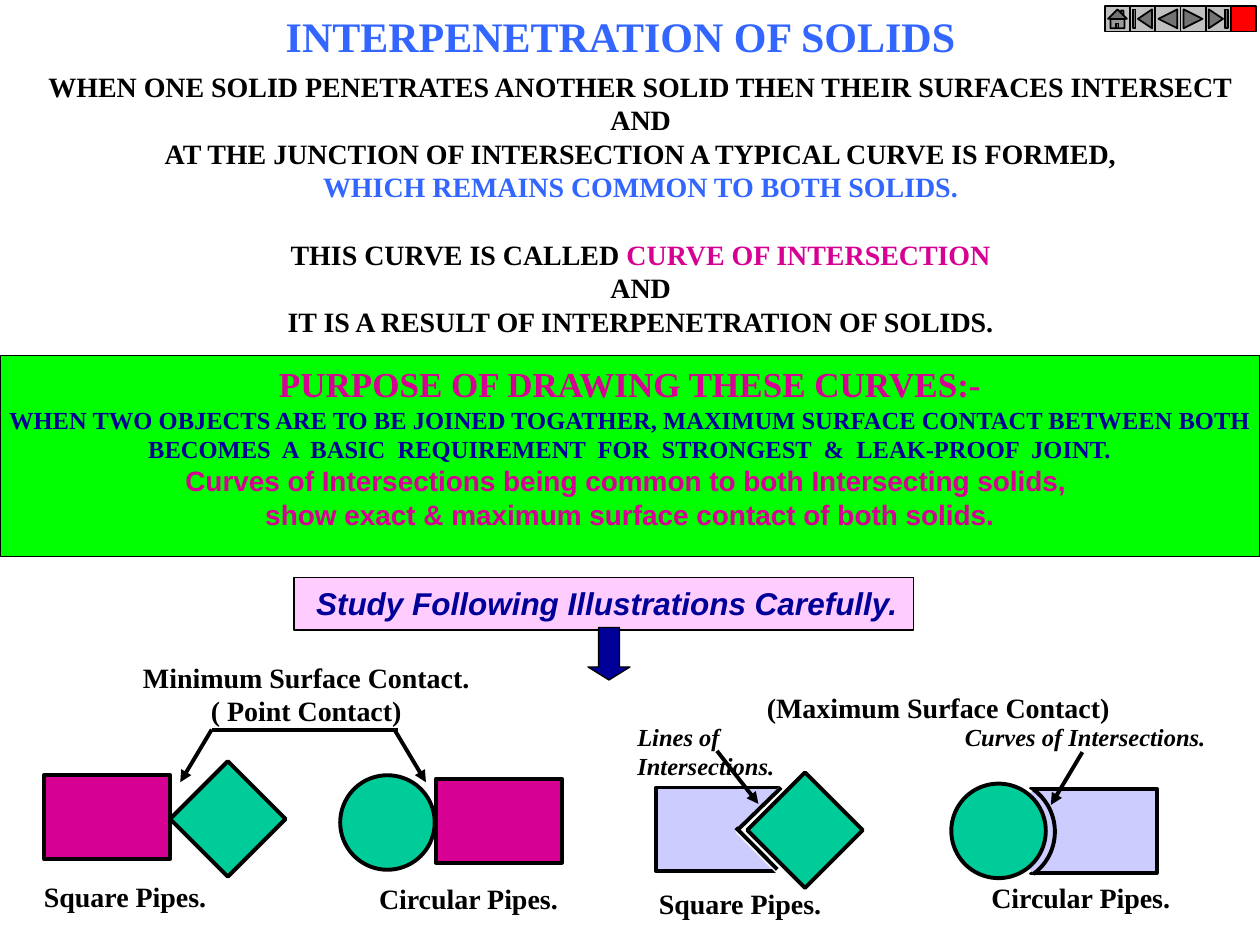
import dataclasses
import typing

import lxml.etree
import pptx
import pptx.dml.color
import pptx.enum.shapes
import pptx.enum.text
import pptx.oxml.ns
import pptx.util

Pt = pptx.util.Pt
Color = pptx.dml.color.RGBColor
Kind = pptx.enum.shapes.MSO_SHAPE
Align = pptx.enum.text.PP_ALIGN

BLACK = Color(0x00, 0x00, 0x00)
WHITE = Color(0xFF, 0xFF, 0xFF)
BLUE = Color(0x33, 0x66, 0xFF)
NAVY = Color(0x00, 0x00, 0x99)
ROSE = Color(0xD6, 0x00, 0x93)
PINK = Color(0xFF, 0xCC, 0xFF)
LIME = Color(0x00, 0xFF, 0x00)
TEAL = Color(0x00, 0xCC, 0x99)
LILAC = Color(0xCC, 0xCC, 0xFF)
GREY = Color(0xC0, 0xC0, 0xC0)
RED = Color(0xFF, 0x00, 0x00)
SERIF, SANS = "Times New Roman", "Arial"
THICK = 2.25


@dataclasses.dataclass
class Part:
    kind: typing.Any
    box: tuple
    fill: typing.Any
    line: Color = BLACK
    width: float = THICK
    adjust: tuple = ()


@dataclasses.dataclass
class Wire:
    start: tuple
    end: tuple
    arrow: bool = True


@dataclasses.dataclass
class Line:
    runs: list  # (text, colour) pairs
    size: float = 16
    font: str = SERIF
    italic: bool = False
    before: float = 0


@dataclasses.dataclass
class Label:
    box: tuple
    lines: list
    align: typing.Any = Align.LEFT
    wrap: bool = False


def plain(text: str, color: Color = BLACK, **style) -> Line:
    return Line([(text, color)], **style)


def draw_part(slide, part: Part) -> None:
    shape = slide.shapes.add_shape(part.kind, *map(Pt, part.box))
    shape.shadow.inherit = False
    for index, value in enumerate(part.adjust):
        shape.adjustments[index] = value
    if part.fill is None:
        shape.fill.background()
    else:
        shape.fill.solid()
        shape.fill.fore_color.rgb = part.fill
    shape.line.color.rgb = part.line
    shape.line.width = Pt(part.width)


def draw_wire(slide, wire: Wire) -> None:
    link = slide.shapes.add_connector(
        pptx.enum.shapes.MSO_CONNECTOR.STRAIGHT, *map(Pt, wire.start + wire.end))
    link.line.color.rgb = BLACK
    link.line.width = Pt(THICK)
    qn = pptx.oxml.ns.qn
    if wire.arrow:
        edge = link.line._get_or_add_ln()
        lxml.etree.SubElement(edge, qn("a:tailEnd"), type="triangle")
    props = link._element.spPr
    lxml.etree.SubElement(props, qn("a:effectLst"))


def draw_label(slide, label: Label) -> None:
    frame = slide.shapes.add_textbox(*map(Pt, label.box)).text_frame
    frame.word_wrap = label.wrap
    for index, line in enumerate(label.lines):
        para = frame.add_paragraph() if index else frame.paragraphs[0]
        para.alignment = label.align
        para.space_before = Pt(line.before)
        style = {"name": line.font, "size": Pt(line.size),
                 "bold": True, "italic": line.italic}
        for text, color in line.runs:
            run = para.add_run()
            run.text = text
            for key, value in style.items():
                setattr(run.font, key, value)
            run.font.color.rgb = color


DRAW = {Part: draw_part, Wire: draw_wire, Label: draw_label}

# Heading and definition
INTRO = [
    Label((156.2, 2.2, 400.3, 36),
          [plain("INTERPENETRATION OF SOLIDS", BLUE, size=24)]),
    Label((16.6, 36, 699, 161.3), [
        plain("WHEN ONE SOLID PENETRATES ANOTHER SOLID THEN THEIR SURFACES INTERSECT"),
        plain("AND"),
        plain("AT THE JUNCTION OF INTERSECTION A TYPICAL CURVE IS FORMED,"),
        plain("WHICH REMAINS COMMON TO BOTH SOLIDS.", BLUE),
        Line([("THIS CURVE IS CALLED ", BLACK),
              ("CURVE OF INTERSECTION", ROSE)], before=19.2),
        plain("AND"),
        plain("IT IS A RESULT OF INTERPENETRATION OF SOLIDS."),
    ], Align.CENTER),
]

# Purpose band and study prompt
PURPOSE = [
    Part(Kind.RECTANGLE, (0, 203, 720, 115.2), LIME, width=0.75),
    Label((-6, 203.8, 732, 103), [
        plain("PURPOSE OF DRAWING THESE CURVES:-", ROSE, size=20),
        plain("WHEN TWO OBJECTS ARE TO BE JOINED TOGATHER, "
              "MAXIMUM SURFACE CONTACT BETWEEN BOTH", NAVY, size=14),
        plain("BECOMES  A  BASIC  REQUIREMENT  FOR  STRONGEST  &  "
              "LEAK-PROOF  JOINT.", NAVY, size=14),
        plain("Curves of Intersections being common to both "
              "Intersecting solids, ", ROSE, font=SANS),
        plain("show exact & maximum surface contact of both solids.",
              ROSE, font=SANS),
    ], Align.CENTER, True),
    Part(Kind.RECTANGLE, (168, 330, 354, 30), PINK, width=0.75),
    Label((173.5, 330, 348, 29),
          [plain("Study Following Illustrations Carefully.", NAVY,
                 size=18, font=SANS, italic=True)]),
    Part(Kind.DOWN_ARROW, (336, 358.6, 24, 30), NAVY, width=0.75,
         adjust=(0.5, 0.31)),
]

# Minimum contact: solids touch at a point
MINIMUM = [
    Part(Kind.DIAMOND, (97.2, 435, 66, 66), TEAL),
    Part(Kind.RECTANGLE, (25.2, 442.8, 72, 48), ROSE),
    Part(Kind.OVAL, (194.4, 443, 54, 54), TEAL),
    Part(Kind.RECTANGLE, (249.1, 445, 72, 48), ROSE),
    Wire((225.4, 416.9), (243.4, 447)),
    Wire((227.5, 416.9), (121, 416.9), False),
    Wire((121, 416.9), (103, 447)),
    Label((74.2, 373.7, 201.6, 46),
          [plain("Minimum Surface Contact."), plain("( Point Contact)")],
          Align.CENTER),
]

# Maximum contact: solids meet along lines or a curve
MAXIMUM = [
    Label((430.6, 391, 211, 26.6), [plain("(Maximum Surface Contact)")],
          Align.CENTER),
    Part(Kind.RECTANGLE, (589, 450.7, 72, 48), LILAC),
    Part(Kind.OVAL, (546.5, 447.8, 54, 54), LILAC, WHITE),
    Part(Kind.ARC, (543, 445.4, 59.8, 59.8), LILAC, adjust=(183.6, 32.4)),
    Part(Kind.OVAL, (543.6, 447.8, 54, 54), TEAL),
    Part(Kind.RECTANGLE, (375.1, 450, 72, 48), LILAC),
    Part(Kind.DIAMOND, (421.2, 445, 60, 60), WHITE, WHITE),
    Wire((446.4, 450), (422, 473.8), False),
    Wire((420.5, 473), (444.2, 496.8), False),
    Part(Kind.DIAMOND, (427, 441.4, 66, 66), TEAL),
    Wire((409.7, 429.1), (433.4, 459.4)),
    Wire((618.5, 429.8), (600.5, 460)),
    Label((357.1, 409, 108, 40),
          [plain("Lines of Intersections.", size=14, italic=True)], wrap=True),
    Label((544.3, 409, 152, 23.8),
          [plain("Curves of Intersections.", size=14, italic=True)]),
]

# Captions under the pipes
CAPTIONS = [
    Label((left, top, width, 26.6), [plain(text)])
    for text, left, top, width in (
        ("Square Pipes.", 18, 499, 108),
        ("Circular Pipes.", 209.5, 500.4, 118),
        ("Square Pipes.", 369.4, 503.3, 108),
        ("Circular Pipes.", 559.4, 499.7, 118))
]

# Navigation buttons
SIDE = 14.4
KEYS = (Kind.ACTION_BUTTON_HOME, Kind.ACTION_BUTTON_BEGINNING,
        Kind.ACTION_BUTTON_BACK_OR_PREVIOUS,
        Kind.ACTION_BUTTON_FORWARD_OR_NEXT,
        Kind.ACTION_BUTTON_END, Kind.ACTION_BUTTON_CUSTOM)
BUTTONS = [
    Part(kind, (631.4 + SIDE * index, 3.6, SIDE, SIDE),
         RED if kind == Kind.ACTION_BUTTON_CUSTOM else GREY, width=1)
    for index, kind in enumerate(KEYS)
]


def main() -> None:
    deck = pptx.Presentation()
    deck.slide_width, deck.slide_height = Pt(720), Pt(540)
    slide = deck.slides.add_slide(deck.slide_layouts[6])
    for item in INTRO + PURPOSE + MINIMUM + MAXIMUM + CAPTIONS + BUTTONS:
        DRAW[type(item)](slide, item)
    deck.save("out.pptx")


if __name__ == "__main__":
    main()
